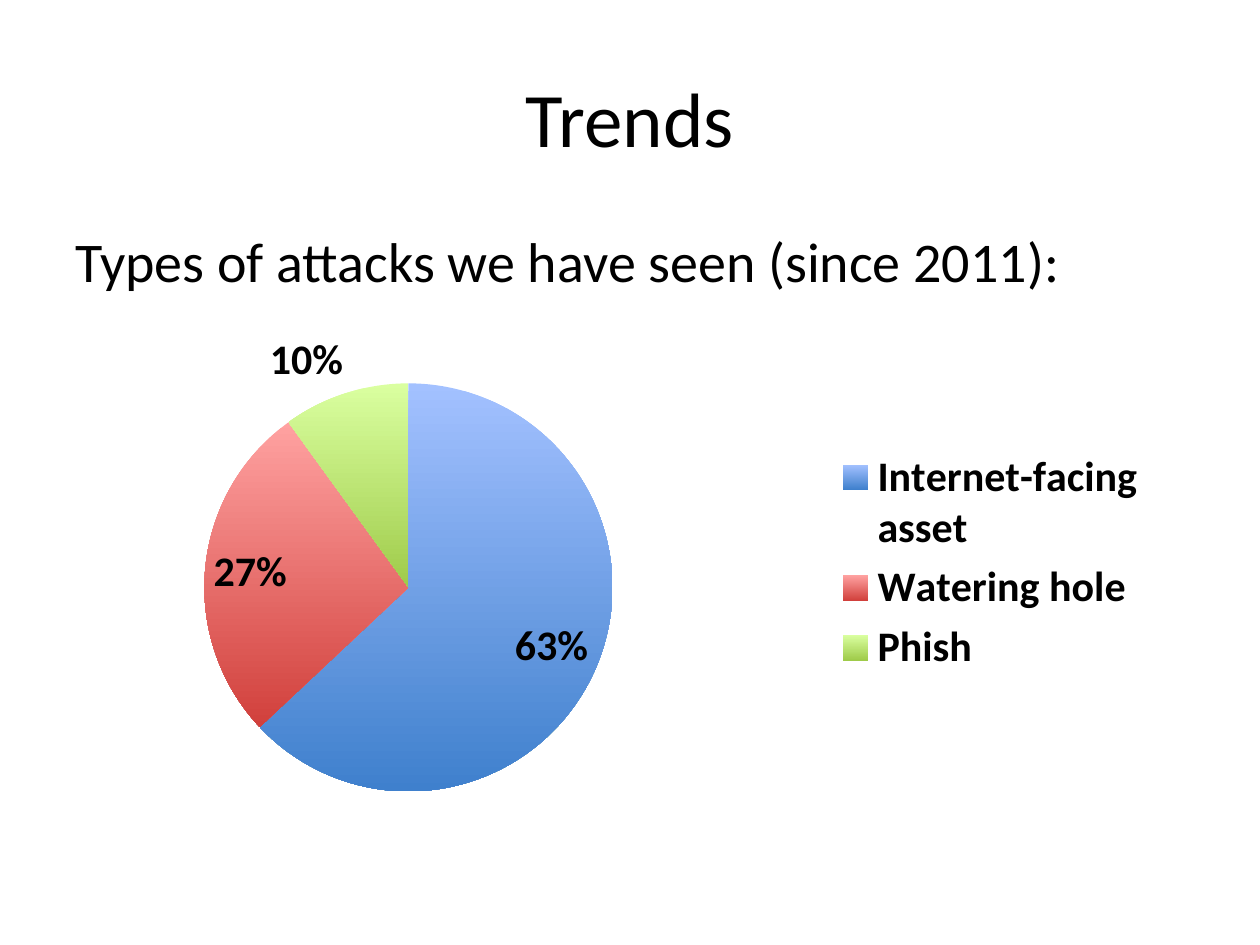
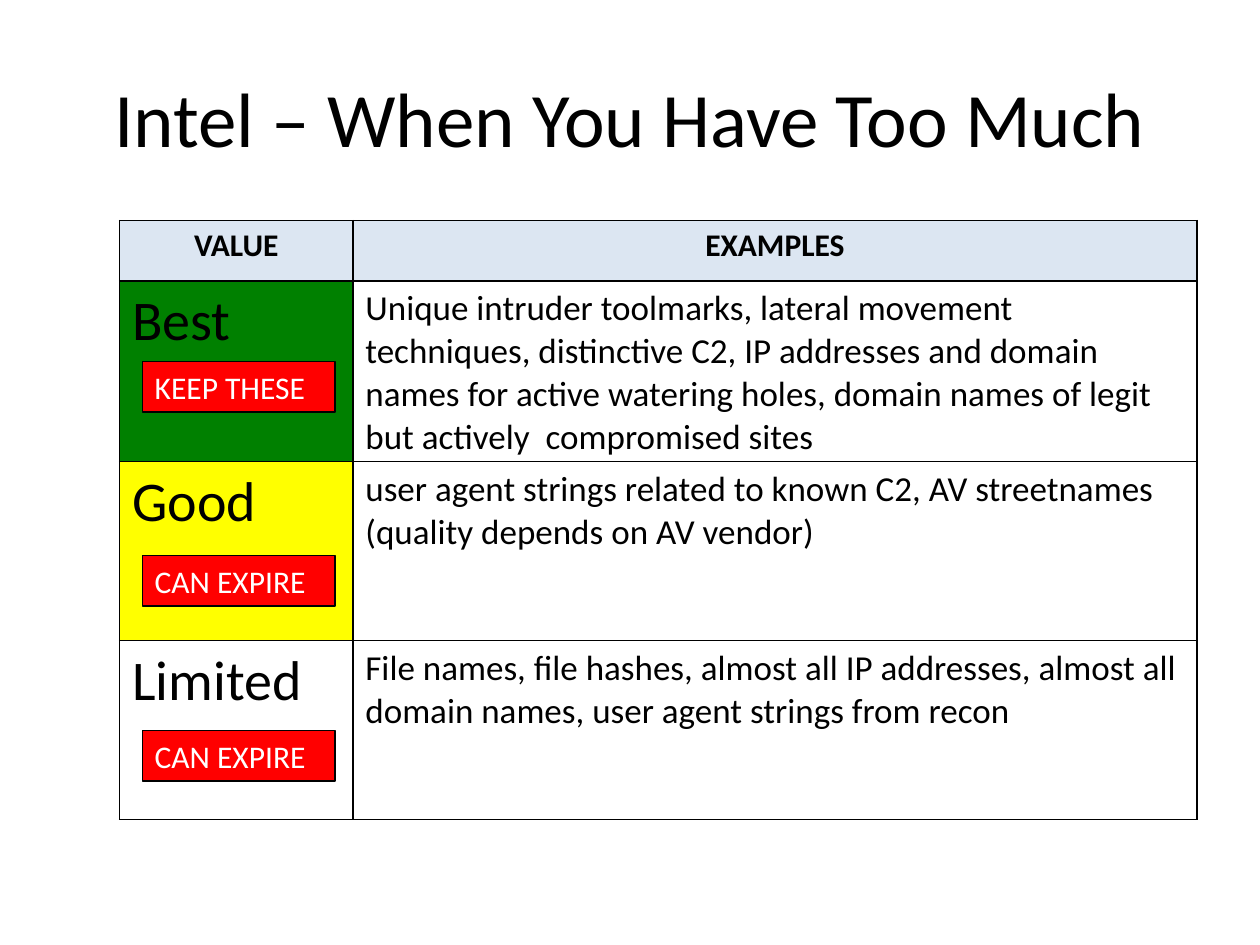
from lxml import etree
from pptx import Presentation
from pptx.chart.data import CategoryChartData
from pptx.dml.color import RGBColor
from pptx.enum.chart import XL_CHART_TYPE, XL_LABEL_POSITION, XL_LEGEND_POSITION
from pptx.enum.shapes import MSO_SHAPE
from pptx.enum.text import MSO_ANCHOR, PP_ALIGN
from pptx.oxml import parse_xml
from pptx.oxml.ns import nsdecls, qn
from pptx.util import Pt

PIE = XL_CHART_TYPE.PIE
FIT = XL_LABEL_POSITION.BEST_FIT
RIGHT = XL_LEGEND_POSITION.RIGHT
RECT = MSO_SHAPE.RECTANGLE
TOP, MIDDLE = MSO_ANCHOR.TOP, MSO_ANCHOR.MIDDLE
LEFT, CENTER = PP_ALIGN.LEFT, PP_ALIGN.CENTER

PX = 9144  # EMU per px, 100 px to the inch
BLACK, WHITE, RED, PALE = "000000", "FFFFFF", "FF0000", "DCE6F2"
FACE = "Calibri"

TITLE = (50, 30, 900, 125)
BODY = (50, 175, 900, 495)
CHART = (68, 249, 854, 395)
PLOT = {"x": 0.11, "y": 0.14, "w": 0.38, "h": 0.82}  # share of the chart

LEAD = "Types of attacks we have seen (since 2011):"
ATTACKS = [  # name, share, top colour, bottom colour
    ("Internet-facing asset", 0.63, "A3C1FF", "3F80CD"),
    ("Watering hole", 0.27, "FFA2A1", "D1403C"),
    ("Phish", 0.10, "DAFFA0", "9FCB4A"),
]

HEADS = ("VALUE", "EXAMPLES")
GRID = (95, 175, 855, 476)
COLS = (185, 670)
HEAD_H, ROW_H = 48, 142
TAG_X, TAG_W, TAG_H = 113, 153, 40
VALUES = [  # value, fill, examples, tag, tag top
    ("Best", "008000",
     "Unique intruder toolmarks, lateral movement techniques, distinctive C2, "
     "IP addresses and domain names for active watering holes, domain names "
     "of legit but actively  compromised sites", "KEEP THESE", 287),
    ("Good", "FFFF00",
     "user agent strings related to known C2, AV streetnames "
     "(quality depends on AV vendor)", "CAN EXPIRE", 441),
    ("Limited", WHITE,
     "File names, file hashes, almost all IP addresses, almost all domain "
     "names, user agent strings from recon", "CAN EXPIRE", 580),
]


def rgb(code):
    return RGBColor.from_string(code)


def emu(box):
    return [n * PX for n in box]


def style(font, size, color=BLACK, bold=False):
    form = {"name": FACE, "size": Pt(size), "bold": bold}
    for key, val in form.items():
        setattr(font, key, val)
    font.color.rgb = rgb(color)


def write(frame, text, size, color=BLACK, bold=False, align=LEFT):
    para = frame.paragraphs[0]
    para.alignment = align
    run = para.add_run()
    run.text = text
    style(run.font, size, color, bold)


def add_text(slide, box, text, size, align=LEFT, anchor=TOP):
    frame = slide.shapes.add_textbox(*emu(box)).text_frame
    frame.word_wrap = True
    frame.vertical_anchor = anchor
    write(frame, text, size, align=align)


def add_slide(deck, title):
    slide = deck.slides.add_slide(deck.slide_layouts[6])
    add_text(slide, TITLE, title, 44, CENTER, MIDDLE)
    return slide


def place_plot(chart):
    """Fix the inner plot area, which public methods cannot do."""
    area = chart.element.find(".//" + qn("c:plotArea"))
    for old in area.findall(qn("c:layout")):
        area.remove(old)
    layout = etree.Element(qn("c:layout"))
    manual = etree.SubElement(layout, qn("c:manualLayout"))
    modes = {"layoutTarget": "inner", "xMode": "edge", "yMode": "edge"}
    for key, val in {**modes, **PLOT}.items():
        etree.SubElement(manual, qn("c:" + key)).set("val", str(val))
    area.insert(0, layout)


def add_pie(slide):
    data = CategoryChartData(number_format="0%")
    data.categories = [name for name, *_ in ATTACKS]
    data.add_series("Series 1", [share for _, share, *_ in ATTACKS])
    chart = slide.shapes.add_chart(PIE, *emu(CHART), data).chart
    style(chart.font, 10)
    chart.has_title = False
    chart.has_legend = True
    chart.legend.position = RIGHT
    chart.legend.include_in_layout = False
    style(chart.legend.font, 24, bold=True)

    plot = chart.plots[0]
    plot.vary_by_categories = True
    plot.has_data_labels = True
    labels = plot.data_labels
    form = {"show_value": True, "show_percentage": False, "position": FIT,
            "number_format": "0%", "number_format_is_linked": False}
    for key, val in form.items():
        setattr(labels, key, val)
    style(labels.font, 24, bold=True)

    for i, (_, _, *shades) in enumerate(ATTACKS):
        fill = plot.series[0].points[i].format.fill
        fill.gradient()
        fill.gradient_angle = 270
        for stop, shade in zip(fill.gradient_stops, shades):
            stop.color.rgb = rgb(shade)
    place_plot(chart)


def fill_cell(cell, text, size, fill, bold=False, align=LEFT):
    write(cell.text_frame, text, size, bold=bold, align=align)
    cell.fill.solid()
    cell.fill.fore_color.rgb = rgb(fill)
    props = cell._tc.get_or_add_tcPr()
    for i, side in enumerate("LRTB"):
        props.insert(i, parse_xml(
            f'<a:ln{side} {nsdecls("a")} w="12700"><a:solidFill>'
            f'<a:srgbClr val="{BLACK}"/></a:solidFill></a:ln{side}>'))


def add_grid(slide):
    table = slide.shapes.add_table(
        len(VALUES) + 1, len(COLS), *emu(GRID)).table
    table.first_row = table.horz_banding = False
    for col, width in zip(table.columns, COLS):
        col.width = width * PX
    for i, row in enumerate(table.rows):
        row.height = (ROW_H if i else HEAD_H) * PX
    for i, head in enumerate(HEADS):
        fill_cell(table.cell(0, i), head, 18, PALE, True, CENTER)
    for i, (value, fill, text, *_) in enumerate(VALUES, 1):
        fill_cell(table.cell(i, 0), value, 32, fill)
        fill_cell(table.cell(i, 1), text, 20, WHITE)


def add_tag(slide, text, top):
    tag = slide.shapes.add_shape(RECT, *emu((TAG_X, top, TAG_W, TAG_H)))
    tag.shadow.inherit = False
    tag.fill.solid()
    tag.fill.fore_color.rgb = rgb(RED)
    tag.line.color.rgb = rgb(BLACK)
    tag.line.width = Pt(0.75)
    tag.text_frame.word_wrap = True
    tag.text_frame.vertical_anchor = MIDDLE
    write(tag.text_frame, text, 18, WHITE)


def main():
    deck = Presentation()
    deck.slide_width, deck.slide_height = emu((1000, 750))

    trends = add_slide(deck, "Trends")
    add_text(trends, BODY, LEAD, 32)
    add_pie(trends)

    intel = add_slide(deck, "Intel – When You Have Too Much")
    add_grid(intel)
    for *_, tag, top in VALUES:
        add_tag(intel, tag, top)

    deck.save("out.pptx")


if __name__ == "__main__":
    main()
